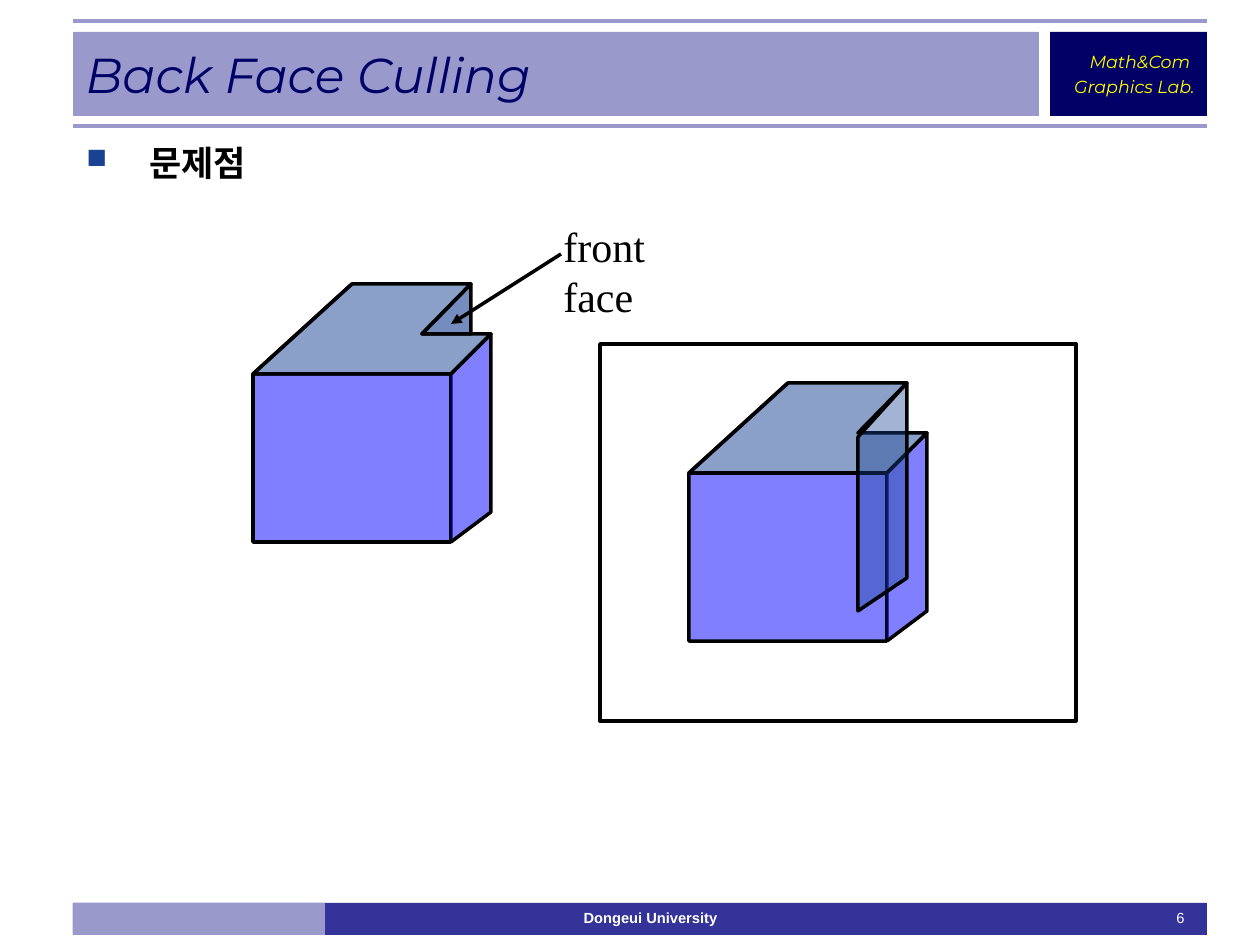
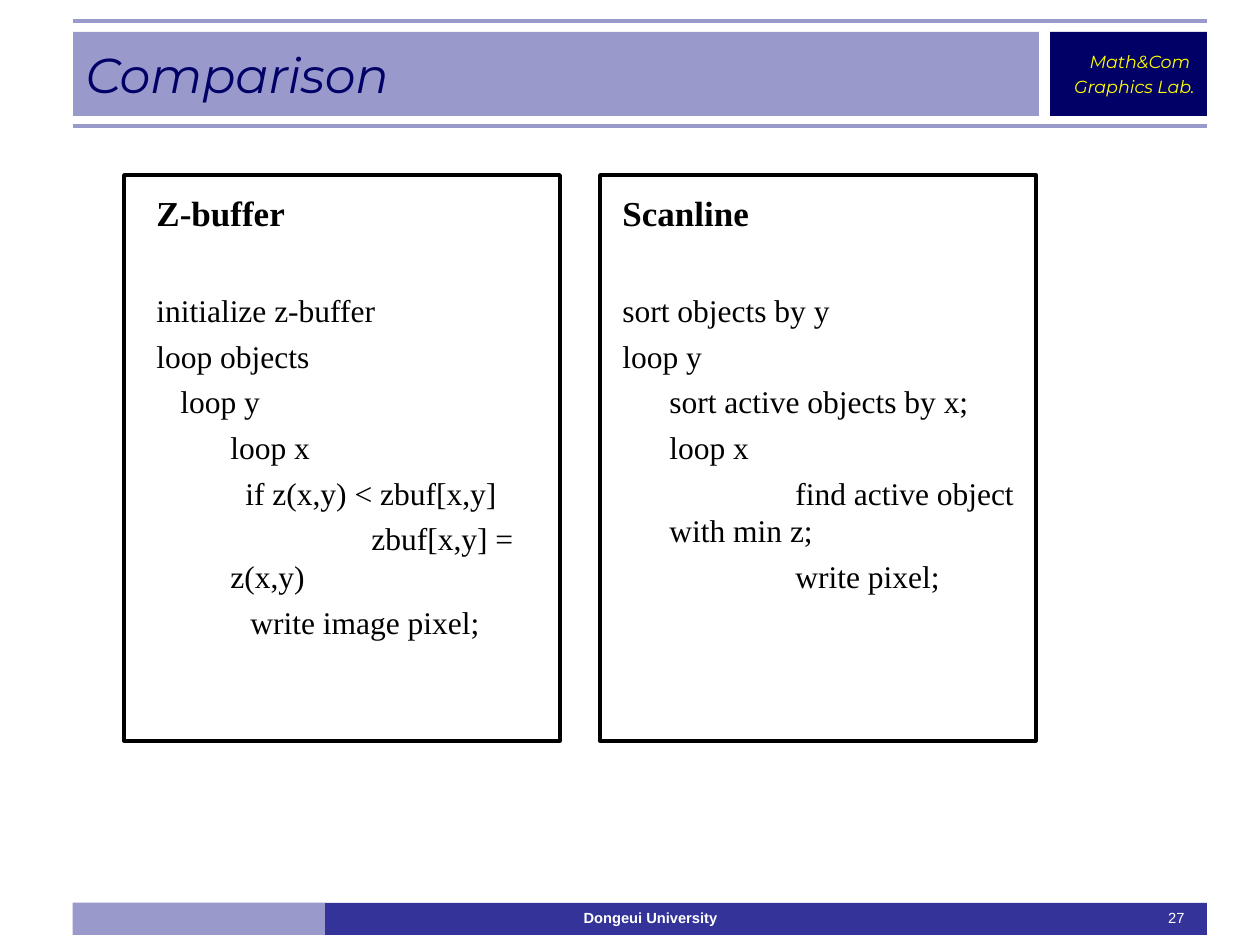
from lxml import etree
from pptx import Presentation
from pptx.dml.color import RGBColor
from pptx.enum.shapes import MSO_CONNECTOR, MSO_SHAPE
from pptx.enum.text import MSO_ANCHOR, MSO_AUTO_SIZE, PP_ALIGN
from pptx.oxml.ns import qn
from pptx.util import Emu, Pt

SCALE = 914400 / 126
TITLE_ONLY = 5

NAVY = RGBColor(0x00, 0x00, 0x66)
INDIGO = RGBColor(0x33, 0x33, 0x99)
LAVENDER = RGBColor(0x99, 0x99, 0xCC)
YELLOW = RGBColor(0xFF, 0xFF, 0x00)
WHITE = RGBColor(0xFF, 0xFF, 0xFF)
BLACK = RGBColor(0x00, 0x00, 0x00)
BLUE = RGBColor(0x00, 0x00, 0xFF)
STEEL = RGBColor(0x19, 0x42, 0x93)

HEADING_FONT = "Montserrat"
BODY_FONT = "Times New Roman"
FOOTER_FONT = "Arial"

# Cube corners in px from the cube's top left
FRONT = [(99, 0), (0, 90), (0, 258), (198, 258), (198, 90), (0, 90)]
SIDE = [(198, 90), (238, 50), (238, 228), (198, 258)]
TOP = [(0, 90), (99, 0), (218, 0), (169, 50), (238, 50), (198, 90)]
NOTCH = [(218, 0), (218, 50), (169, 50)]
HIDDEN_FACE = [(169, 54), (169, 228), (218, 195), (218, 0)]

# Code lines: text, start of the first line, start of wrapped lines (px)
Z_BUFFER = [
    ("initialize z-buffer", 0, 0),
    ("loop objects", 0, 0),
    ("loop y", 24, 24),
    ("loop x", 74, 74),
    ("if z(x,y) < zbuf[x,y]", 89, 89),
    ("zbuf[x,y] = z(x,y)", 215, 74),
    ("write image pixel;", 94, 94),
]
SCANLINE = [
    ("sort objects by y", 0, 0),
    ("loop y", 0, 0),
    ("sort active objects by x;", 47, 47),
    ("loop x", 47, 47),
    ("find active object\vwith min z;", 173, 47),
    ("write pixel;", 173, 173),
]


def px(n):
    return Emu(round(n * SCALE))


def format_runs(p, size, color, font, bold=False, italic=False):
    for r in p.runs:
        r.font.size = Pt(size)
        r.font.color.rgb = color
        r.font.name = font
        r.font.bold = bold
        r.font.italic = italic


def set_indent(p, first, hang):
    pPr = p._p.get_or_add_pPr()
    pPr.set("marL", str(px(hang)))
    pPr.set("indent", str(px(first - hang)))
    return pPr


def add_bullet(p, char, color, percent):
    pPr = set_indent(p, 0, 63)
    clr = etree.SubElement(pPr, qn("a:buClr"))
    etree.SubElement(clr, qn("a:srgbClr"), val=str(color))
    etree.SubElement(pPr, qn("a:buSzPct"), val=str(percent * 1000))
    etree.SubElement(pPr, qn("a:buChar"), char=char)


def add_rect(slide, x, y, w, h, fill=None):
    """Filled band, or a black frame when no fill is given."""
    sp = slide.shapes.add_shape(MSO_SHAPE.RECTANGLE, px(x), px(y), px(w), px(h))
    sp.shadow.inherit = False
    if fill is None:
        sp.fill.background()
        sp.line.color.rgb = BLACK
        sp.line.width = Pt(2)
    else:
        sp.fill.solid()
        sp.fill.fore_color.rgb = fill
        sp.line.fill.background()
    return sp


def add_text(slide, x, y, w, h, text, wrap=True):
    tf = slide.shapes.add_textbox(px(x), px(y), px(w), px(h)).text_frame
    tf.word_wrap = wrap
    tf.text = text
    return tf.paragraphs[0]


def add_line(slide, start, end, color, width, arrow=False):
    line = slide.shapes.add_connector(
        MSO_CONNECTOR.STRAIGHT, *(px(n) for n in start + end))
    line.line.color.rgb = color
    line.line.width = Pt(width)
    etree.SubElement(line._element.spPr, qn("a:effectLst"))
    if arrow:
        etree.SubElement(line.line._get_or_add_ln(), qn("a:tailEnd"), type="triangle")


def add_face(slide, origin, points, color, opacity, close=True):
    """Translucent polygon with points in px from origin."""
    builder = slide.shapes.build_freeform(*points[0], scale=SCALE)
    builder.add_line_segments(points[1:], close=close)
    sp = builder.convert_to_shape(*(px(n) for n in origin))
    sp.shadow.inherit = False
    sp.fill.solid()
    sp.fill.fore_color.rgb = color
    clr = sp._element.spPr.find(qn("a:solidFill"))[0]
    etree.SubElement(clr, qn("a:alpha"), val=str(opacity * 1000))
    sp.line.color.rgb = BLACK
    sp.line.width = Pt(2)


def add_cube(slide, origin):
    add_face(slide, origin, FRONT, BLUE, 50, close=False)
    add_face(slide, origin, SIDE, BLUE, 50, close=False)
    add_face(slide, origin, TOP, STEEL, 50)


def add_lab_badge(slide):
    tf = add_rect(slide, 1050, 32, 157, 84, NAVY).text_frame
    tf.vertical_anchor = MSO_ANCHOR.MIDDLE
    tf.text = "Math&Com \nGraphics Lab."
    for p in tf.paragraphs:
        p.alignment = PP_ALIGN.RIGHT
        p.space_before = Pt(2.5)
        format_runs(p, 10, YELLOW, HEADING_FONT, italic=True)


def set_title(slide, text):
    title = slide.shapes.title
    title.left, title.top, title.width, title.height = map(px, (73, 32, 966, 84))
    title.element.getparent().append(title.element)  # in front of its band
    tf = title.text_frame
    tf.text = text
    tf.auto_size = MSO_AUTO_SIZE.NONE
    tf.vertical_anchor = MSO_ANCHOR.MIDDLE
    p = tf.paragraphs[0]
    p.alignment = PP_ALIGN.LEFT
    format_runs(p, 28, NAVY, HEADING_FONT, italic=True)


def new_slide(prs, title, number):
    """Slide with the shared bands, rules, badge, footer and title."""
    slide = prs.slides.add_slide(prs.slide_layouts[TITLE_ONLY])
    add_rect(slide, 73, 903, 1134, 32, INDIGO)
    add_rect(slide, 73, 903, 252, 32, LAVENDER)
    add_lab_badge(slide)
    add_rect(slide, 73, 32, 966, 84, LAVENDER)
    for y in (21, 126):
        add_line(slide, (73, y), (1207, y), LAVENDER, 2.25)
    p = add_text(slide, 325, 903, 651, 32, "Dongeui University")
    p.alignment = PP_ALIGN.CENTER
    format_runs(p, 8.4, WHITE, FOOTER_FONT, bold=True)
    p = add_text(slide, 998, 903, 199, 32, str(number))
    p.alignment = PP_ALIGN.RIGHT
    format_runs(p, 8.4, WHITE, FOOTER_FONT)
    set_title(slide, title)
    return slide


def add_algorithm(slide, x, width, heading, lines):
    p = add_text(slide, x, 185, width, 567, heading)
    p.space_before = Pt(5)
    format_runs(p, 20, BLACK, BODY_FONT, bold=True)
    tf = p._parent
    for i, (text, first, hang) in enumerate(lines):
        p = tf.add_paragraph()
        p.text = text
        p.space_before = Pt(4.5 if i else 33)
        set_indent(p, first, hang)
        format_runs(p, 18, BLACK, BODY_FONT)


def build_culling_slide(prs):
    slide = new_slide(prs, "Back Face Culling", 6)
    p = add_text(slide, 74, 135, 1124, 735, "문제점")
    p.space_before = Pt(5)
    add_bullet(p, "■", STEEL, 80)
    format_runs(p, 20, BLACK, BODY_FONT, bold=True)
    p = add_text(slide, 551, 214, 186, 63, "front face", wrap=False)
    format_runs(p, 24, BLACK, BODY_FONT)

    solid, see_through = (253, 284), (689, 383)
    add_cube(slide, solid)
    add_face(slide, solid, NOTCH, STEEL, 60)
    add_line(slide, (561, 254), (451, 324), BLACK, 2, arrow=True)
    add_cube(slide, see_through)
    add_rect(slide, 600, 344, 476, 377)
    add_face(slide, see_through, HIDDEN_FACE, STEEL, 40)


def build_comparison_slide(prs):
    slide = new_slide(prs, "Comparison", 27)
    add_algorithm(slide, 144, 437, "Z-buffer", Z_BUFFER)
    add_algorithm(slide, 610, 525, "Scanline", SCANLINE)
    for x in (124, 600):
        add_rect(slide, x, 175, 436, 566)


def main():
    prs = Presentation()
    prs.slide_width, prs.slide_height = px(1260), px(945)
    build_culling_slide(prs)
    build_comparison_slide(prs)
    prs.save("out.pptx")


if __name__ == "__main__":
    main()
